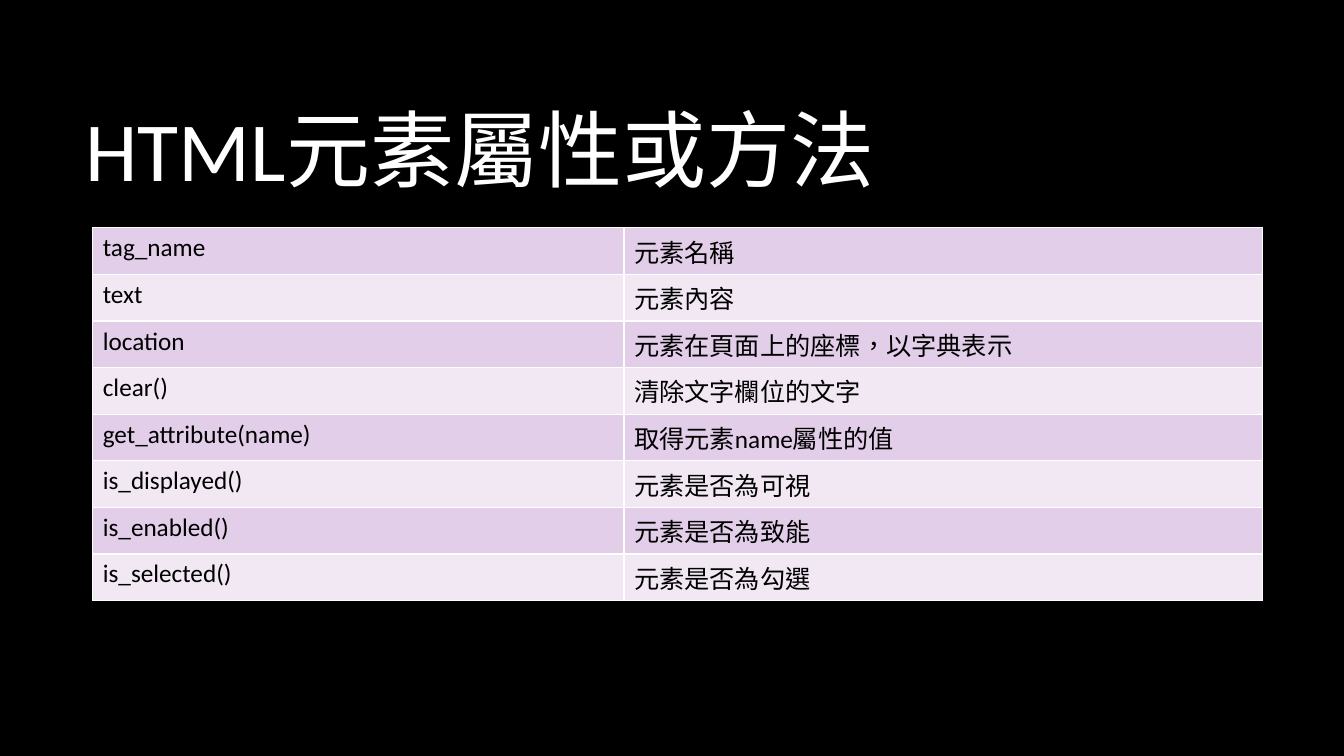
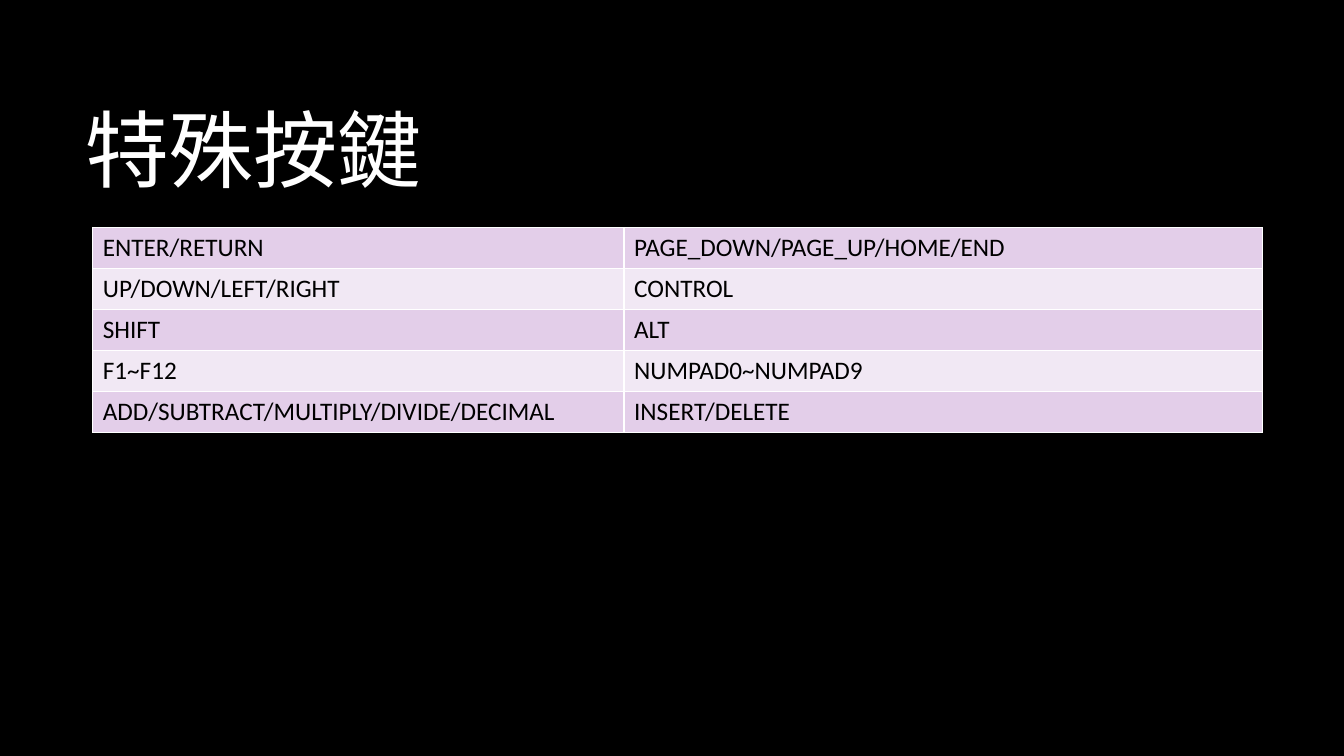
from lxml.etree import SubElement
from pptx import Presentation
from pptx.dml.color import RGBColor
from pptx.enum.lang import MSO_LANGUAGE_ID as Language
from pptx.enum.text import MSO_ANCHOR as Anchor
from pptx.oxml.ns import qn
from pptx.util import Inches, Pt


def color(hex_text):
    return RGBColor.from_string(hex_text)


class Deck:
    """Holds the shared style and the slide being built."""

    FONT = "Calibri"
    BACKGROUND = "000000"
    TITLE_COLOR = "FFFFFF"
    CELL_COLOR = "000000"
    BORDER_COLOR = "FFFFFF"
    BAND_FILLS = ("E3CEE9", "F1E8F4")
    COLUMN_WIDTHS = (5.27, 6.33)

    def __init__(self):
        self.presentation = Presentation()
        self.presentation.slide_width = Inches(13.33)
        self.presentation.slide_height = Inches(7.5)
        self.slide = None

    def add_slide(self):
        self.slide = self.presentation.slides.add_slide(self.presentation.slide_layouts[6])
        fill = self.slide.background.fill
        fill.solid()
        fill.fore_color.rgb = color(self.BACKGROUND)

    def add_run(self, paragraph, text, size, text_color):
        run = paragraph.add_run()
        run.text = text
        run.font.name = self.FONT
        run.font.size = Pt(size)
        run.font.color.rgb = color(text_color)
        run.font.language_id = Language.TRADITIONAL_CHINESE

    def add_title(self, text):
        shape = self.slide.shapes.add_textbox(Inches(0.75), Inches(0.67), Inches(11.08), Inches(1.59))
        frame = shape.text_frame
        frame.word_wrap = True
        frame.vertical_anchor = Anchor.MIDDLE
        self.add_run(frame.paragraphs[0], text, 60, self.TITLE_COLOR)

    def add_borders(self, cell):
        properties = cell._tc.get_or_add_tcPr()
        for side in ("a:lnL", "a:lnR", "a:lnT", "a:lnB"):
            line = SubElement(properties, qn(side), w=str(Pt(1)))
            fill = SubElement(line, qn("a:solidFill"))
            SubElement(fill, qn("a:srgbClr"), val=self.BORDER_COLOR)

    def add_table(self, rows, height):
        table = self.slide.shapes.add_table(
            len(rows), len(self.COLUMN_WIDTHS), Inches(0.92), Inches(2.26),
            Inches(sum(self.COLUMN_WIDTHS)), Inches(height)).table
        table.first_row = False
        table.horz_banding = False
        for column, width in zip(table.columns, self.COLUMN_WIDTHS):
            column.width = Inches(width)
        for row_index, texts in enumerate(rows):
            band = self.BAND_FILLS[row_index % len(self.BAND_FILLS)]
            for column_index, text in enumerate(texts):
                cell = table.cell(row_index, column_index)
                self.add_borders(cell)
                cell.fill.solid()
                cell.fill.fore_color.rgb = color(band)
                self.add_run(cell.text_frame.paragraphs[0], text, 18, self.CELL_COLOR)


ELEMENT_MEMBERS = [
    ("tag_name", "元素名稱"),
    ("text", "元素內容"),
    ("location", "元素在頁面上的座標，以字典表示"),
    ("clear()", "清除文字欄位的文字"),
    ("get_attribute(name)", "取得元素name屬性的值"),
    ("is_displayed()", "元素是否為可視"),
    ("is_enabled()", "元素是否為致能"),
    ("is_selected()", "元素是否為勾選"),
]

SPECIAL_KEYS = [
    ("ENTER/RETURN", "PAGE_DOWN/PAGE_UP/HOME/END"),
    ("UP/DOWN/LEFT/RIGHT", "CONTROL"),
    ("SHIFT", "ALT"),
    ("F1~F12", "NUMPAD0~NUMPAD9"),
    ("ADD/SUBTRACT/MULTIPLY/DIVIDE/DECIMAL", "INSERT/DELETE"),
]

PAGES = [
    ("HTML元素屬性或方法", ELEMENT_MEMBERS, 3.7),
    ("特殊按鍵", SPECIAL_KEYS, 2.03),
]


def main():
    deck = Deck()
    for title, rows, table_height in PAGES:
        deck.add_slide()
        deck.add_title(title)
        deck.add_table(rows, table_height)
    deck.presentation.save("out.pptx")


if __name__ == "__main__":
    main()
